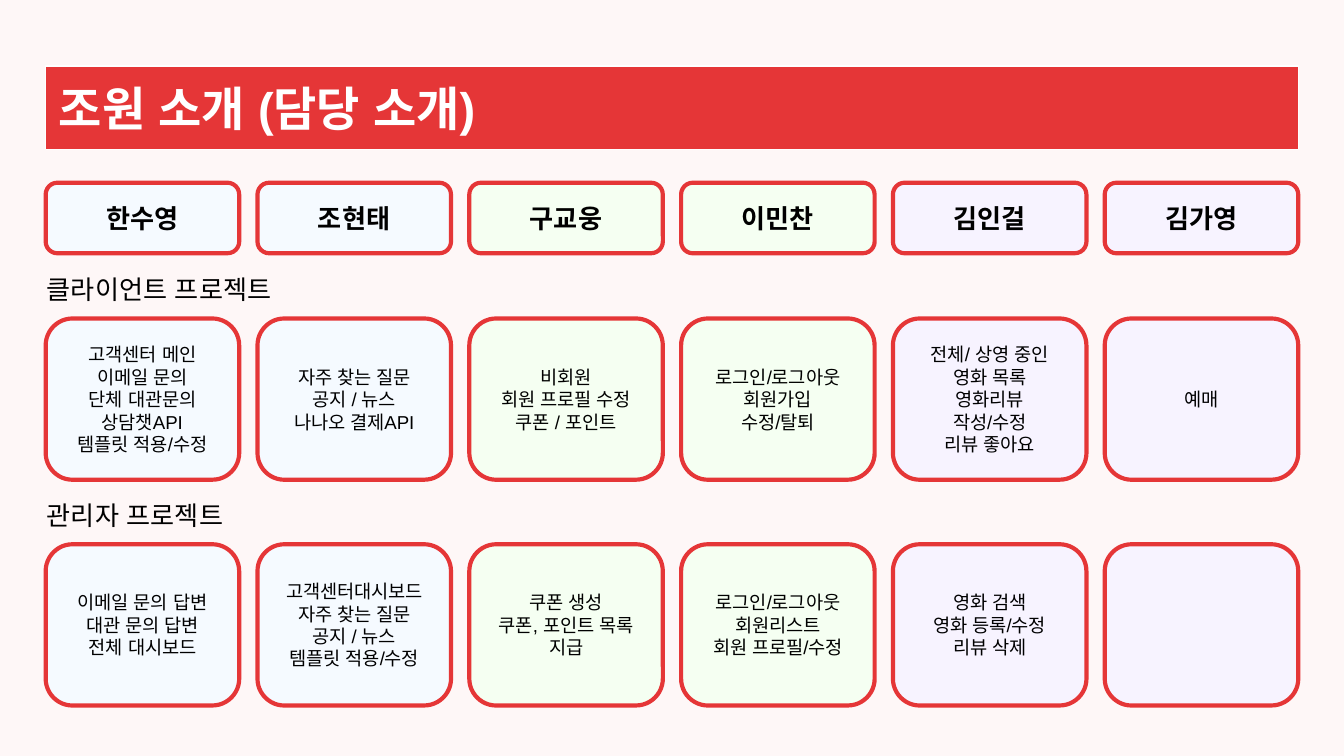
from dataclasses import dataclass

from lxml.etree import SubElement
from pptx import Presentation
from pptx.dml.color import RGBColor
from pptx.enum.shapes import MSO_SHAPE as Shape
from pptx.enum.text import MSO_ANCHOR as Anchor, PP_ALIGN as Align
from pptx.oxml.ns import qn
from pptx.util import Pt

# Content: one column per member, one row of cards per project
TITLE = "조원 소개 (담당 소개)"
MEMBERS = ["한수영", "조현태", "구교웅", "이민찬", "김인걸", "김가영"]
PROJECTS = {
    "클라이언트 프로젝트": [
        ["고객센터 메인", "이메일 문의", "단체 대관문의", "상담챗API", "템플릿 적용/수정"],
        ["자주 찾는 질문", "공지 / 뉴스", "나나오 결제API"],
        ["비회원", "회원 프로필 수정", "쿠폰 / 포인트"],
        ["로그인/로그아웃", "회원가입", "수정/탈퇴"],
        ["전체/ 상영 중인", "영화 목록", "영화리뷰", "작성/수정", "리뷰 좋아요"],
        ["예매"],
    ],
    "관리자 프로젝트": [
        ["이메일 문의 답변", "대관 문의 답변", "전체 대시보드"],
        ["고객센터대시보드", "자주 찾는 질문", "공지 / 뉴스", "템플릿 적용/수정"],
        ["쿠폰 생성", "쿠폰, 포인트 목록", "지급"],
        ["로그인/로그아웃", "회원리스트", "회원 프로필/수정"],
        ["영화 검색", "영화 등록/수정", "리뷰 삭제"],
        [],
    ],
}


@dataclass(frozen=True)
class Theme:
    font: str = "Arial"
    background: str = "FEF7F7"
    red: str = "E53637"
    white: str = "FFFFFF"
    black: str = "000000"
    pair_fills: tuple = ("F5FAFF", "F5FFF2", "F7F3FF")
    title_size: float = 25.2
    heading_size: float = 14
    task_size: float = 10
    title_line: float = 0.75
    card_line: float = 2.25


THEME = Theme()

# Geometry in px, 200 to the inch
PX = 4572
SLIDE_W, SLIDE_H = 2000, 1125
LEFT, WIDTH = 68, 1864
TITLE_Y, TITLE_H = 98, 125
NAME_Y, NAME_H = 272, 105
CARD_W, CARD_H = 288, 240
FIRST_CARD_Y, PROJECT_PITCH = 474, 336
LABEL_X, LABEL_W, LABEL_H = 50, 842, 87
INSET = 20
COLUMN_PITCH = (WIDTH - CARD_W) / (len(MEMBERS) - 1)


def emu(*lengths):
    return [round(length * PX) for length in lengths]


def write(shape, lines, size, color=THEME.black, bold=False,
          align=Align.LEFT, anchor=Anchor.TOP):
    frame = shape.text_frame
    frame.word_wrap = True
    frame.vertical_anchor = anchor
    inset, = emu(INSET)
    frame.margin_left = frame.margin_right = inset
    frame.margin_top = frame.margin_bottom = inset
    frame.text = "\n".join(lines)
    for paragraph in frame.paragraphs:
        paragraph.alignment = align
        for run in paragraph.runs:
            run.font.name = THEME.font
            run.font.size = Pt(size)
            run.font.bold = bold
            run.font.color.rgb = RGBColor.from_string(color)
            # Hangul takes the East Asian typeface
            for script in ("a:ea", "a:cs"):
                SubElement(run._r.get_or_add_rPr(), qn(script), typeface=THEME.font)


def add_box(slide, kind, place, fill, line, line_width):
    box = slide.shapes.add_shape(kind, *emu(*place))
    box.shadow.inherit = False
    box.fill.solid()
    box.fill.fore_color.rgb = RGBColor.from_string(fill)
    box.line.color.rgb = RGBColor.from_string(line)
    box.line.width = Pt(line_width)
    return box


def add_card_row(slide, top, height, cards, size, bold=False):
    for column, lines in enumerate(cards):
        place = (LEFT + column * COLUMN_PITCH, top, CARD_W, height)
        fill = THEME.pair_fills[column // 2]
        card = add_box(slide, Shape.ROUNDED_RECTANGLE, place, fill,
                       THEME.red, THEME.card_line)
        if lines:
            write(card, lines, size, bold=bold, align=Align.CENTER, anchor=Anchor.MIDDLE)


def main():
    deck = Presentation()
    deck.slide_width, deck.slide_height = emu(SLIDE_W, SLIDE_H)
    slide = deck.slides.add_slide(deck.slide_layouts[6])
    slide.background.fill.solid()
    slide.background.fill.fore_color.rgb = RGBColor.from_string(THEME.background)

    # Title band
    band = add_box(slide, Shape.RECTANGLE, (LEFT, TITLE_Y, WIDTH, TITLE_H),
                   THEME.red, THEME.white, THEME.title_line)
    write(band, [TITLE], THEME.title_size, THEME.white, bold=True)

    # Member names
    add_card_row(slide, NAME_Y, NAME_H, [[name] for name in MEMBERS],
                 THEME.heading_size, bold=True)

    # Projects: a label above a row of task cards
    for row, (project, tasks) in enumerate(PROJECTS.items()):
        top = FIRST_CARD_Y + row * PROJECT_PITCH
        label = slide.shapes.add_textbox(*emu(LABEL_X, top - LABEL_H, LABEL_W, LABEL_H))
        write(label, [project], THEME.heading_size)
        add_card_row(slide, top, CARD_H, tasks, THEME.task_size)

    deck.save("out.pptx")


if __name__ == "__main__":
    main()
